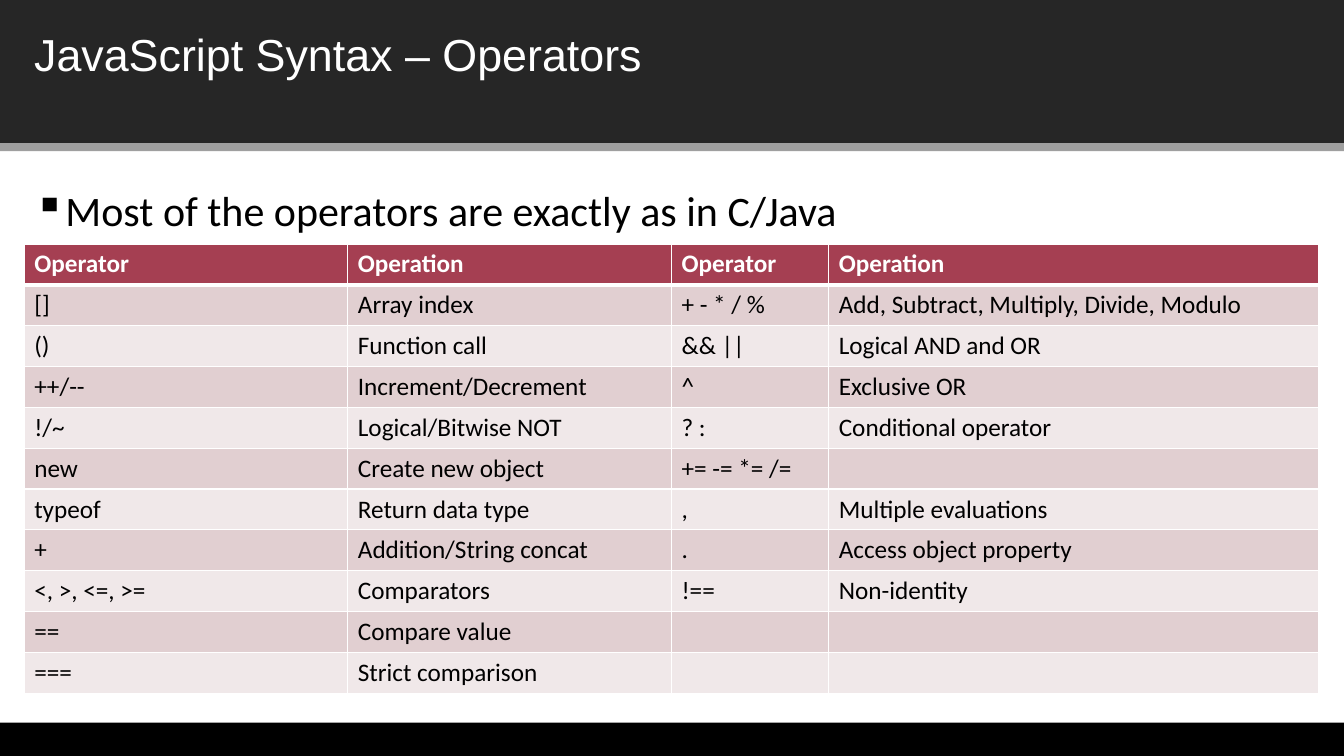
"""Build a slide that lists the JavaScript operators in a table."""
from typing import Any, NamedTuple

from lxml import etree
from pptx import Presentation
from pptx.dml.color import RGBColor
from pptx.enum.shapes import MSO_SHAPE
from pptx.oxml.ns import qn
from pptx.util import Inches, Pt

RECT = MSO_SHAPE.RECTANGLE
WHITE = RGBColor(0xFF, 0xFF, 0xFF)
BLACK = RGBColor(0x00, 0x00, 0x00)
DARK = RGBColor(0x26, 0x26, 0x26)
GREY = RGBColor(0x9F, 0x9F, 0x9F)
WINE = RGBColor(0xA5, 0x3F, 0x52)
ROSE = RGBColor(0xE1, 0xCF, 0xD1)
PALE = RGBColor(0xF0, 0xE8, 0xE9)


class Box(NamedTuple):
    left: float
    top: float
    width: float
    height: float


class Band(NamedTuple):
    box: Box
    fill: RGBColor


class Style(NamedTuple):
    font: dict[str, Any]
    color: RGBColor


class Label(NamedTuple):
    box: Box
    text: str
    style: Style
    format: dict[str, Any]
    bullet: str = ""


TITLE = Style({"name": "Arial", "size": Pt(32)}, WHITE)
BODY = Style({"name": "Calibri", "size": Pt(30)}, BLACK)
HEAD = Style({"name": "Calibri", "size": Pt(18), "bold": True}, WHITE)
CELL = Style({"name": "Calibri", "size": Pt(18), "bold": False}, BLACK)

BANDS = [
    Band(Box(-0.01, -0.01, 13.34, 1.43), DARK),
    Band(Box(-0.01, 1.42, 13.34, 0.08), GREY),
    Band(Box(-0.02, 7.17, 13.35, 0.33), BLACK),
]
LABELS = [
    Label(Box(0.24, 0.22, 12.84, 0.64), "JavaScript Syntax – Operators", TITLE, {}),
    Label(Box(0.24, 1.68, 12.95, 5.35),
          "Most of the operators are exactly as in C/Java", BODY,
          {"line_spacing": 1.2}, "▪"),
]
GRID = Box(0.24, 2.42, 12.84, 4.46)
WIDTHS = [3.21, 3.21, 1.56, 4.86]
ROWS = [
    ("Operator", "Operation", "Operator", "Operation"),
    ("[]", "Array index", "+ - * / %", "Add, Subtract, Multiply, Divide, Modulo"),
    ("()", "Function call", "&& ||", "Logical AND and OR"),
    ("++/--", "Increment/Decrement", "^", "Exclusive OR"),
    ("!/~", "Logical/Bitwise NOT", "? :", "Conditional operator"),
    ("new", "Create new object", "+= -= *= /=", ""),
    ("typeof", "Return data type", ",", "Multiple evaluations"),
    ("+", "Addition/String concat", ".", "Access object property"),
    ("<, >, <=, >=", "Comparators", "!==", "Non-identity"),
    ("==", "Compare value", "", ""),
    ("===", "Strict comparison", "", ""),
]


def place(box: Box) -> list[int]:
    """Return the box as lengths."""
    return [Inches(side) for side in box]


def apply(part: Any, values: dict[str, Any]) -> None:
    """Set each format value on the part."""
    for name, value in values.items():
        setattr(part, name, value)


def paint(font: Any, style: Style) -> None:
    """Give the font its style."""
    apply(font, style.font)
    font.color.rgb = style.color


def draw_band(slide: Any, band: Band) -> None:
    """Draw one plain band."""
    shape = slide.shapes.add_shape(RECT, *place(band.box))
    shape.shadow.inherit = False
    shape.fill.solid()
    shape.fill.fore_color.rgb = band.fill
    shape.line.fill.background()


def draw_label(slide: Any, label: Label) -> None:
    """Draw one text box, with a bullet if it has one."""
    frame = slide.shapes.add_textbox(*place(label.box)).text_frame
    frame.word_wrap = True
    para = frame.paragraphs[0]
    para.text = label.text
    apply(para, label.format)
    if label.bullet:
        props = para._p.get_or_add_pPr()
        props.set("marL", str(Inches(0.25)))
        props.set("indent", str(Inches(-0.25)))
        etree.SubElement(props, qn("a:buChar"), char=label.bullet)
    paint(para.runs[0].font, label.style)


def edge(cell: Any, side: str, width: float) -> None:
    """Add one white border to the cell."""
    props = cell._tc.get_or_add_tcPr()
    line = etree.SubElement(props, qn(f"a:ln{side}"), w=str(Pt(width)))
    fill = etree.SubElement(line, qn("a:solidFill"))
    etree.SubElement(fill, qn("a:srgbClr"), val=str(WHITE))


def draw_grid(slide: Any) -> None:
    """Draw the table of operators."""
    table = slide.shapes.add_table(len(ROWS), len(WIDTHS), *place(GRID)).table
    for column, width in zip(table.columns, WIDTHS):
        column.width = Inches(width)
    for i, texts in enumerate(ROWS):
        table.rows[i].height = Inches(GRID.height / len(ROWS))
        style = CELL if i else HEAD
        tint = (PALE, ROSE)[i % 2] if i else WINE
        for j, text in enumerate(texts):
            cell = table.cell(i, j)
            para = cell.text_frame.paragraphs[0]
            para.text = text
            paint(para.runs[0].font if text else para.font, style)
            for side in "LRTB":
                thick = (i, side) in ((0, "B"), (1, "T"))
                edge(cell, side, 3 if thick else 1)
            cell.fill.solid()
            cell.fill.fore_color.rgb = tint


def main() -> None:
    """Build and save the slide."""
    deck = Presentation()
    deck.slide_width, deck.slide_height = Inches(13.33), Inches(7.5)
    slide = deck.slides.add_slide(deck.slide_layouts[6])
    for band in BANDS:
        draw_band(slide, band)
    for label in LABELS:
        draw_label(slide, label)
    draw_grid(slide)
    deck.save("out.pptx")


if __name__ == "__main__":
    main()
